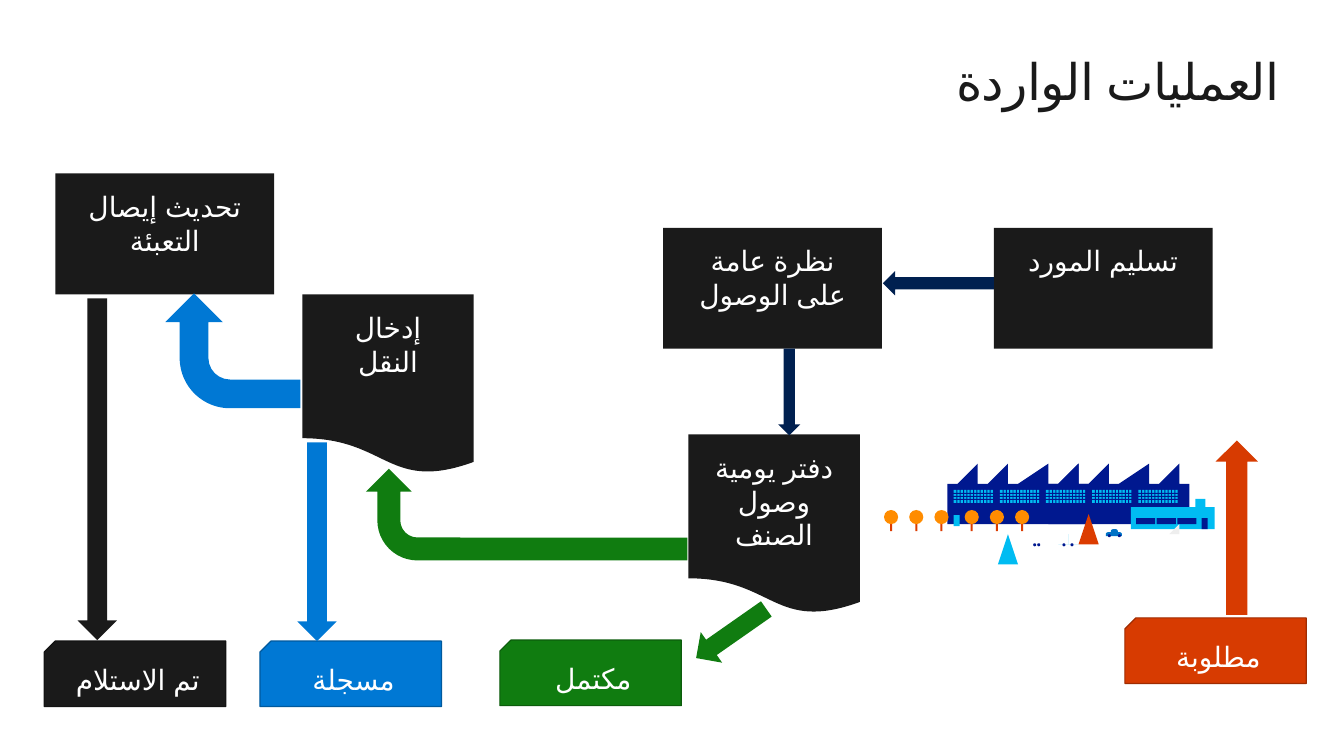
import pptx
import pptx.dml.color
import pptx.enum.shapes
import pptx.enum.text
import pptx.util
import lxml.etree
import pptx.oxml.ns

PRESET = pptx.enum.shapes.MSO_SHAPE
ALIGN = pptx.enum.text.PP_ALIGN
CELL = pptx.util.Inches(0.1)
COLUMNS, ROWS = 133.33, 75
INK, BLUE, GREEN, ORANGE, NAVY = "1A1A1A", "0078D4", "107C10", "D73B01", "002050"
WALL, GLASS, TRUNK, LEAF, CAR, PALE = "00188F", "00BCF2", "DC3C00", "FF8C00", "0072C6", "EEEEEE"


def color(code):
    return pptx.dml.color.RGBColor.from_string(code)


def cells(*counts):
    return [round(count * CELL) for count in counts]


class SlideBuilder:
    """Draws styled elements on one page, placed in columns and rows of a grid."""

    def __init__(self, deck):
        self.page = deck.slides.add_slide(deck.slide_layouts[5])
        self.target = self.page.shapes
        self.font = "Arial"

    def set_text(self, shape, text, size, code, align, insets, spacing=None):
        frame = shape.text_frame
        frame.text = text
        frame.word_wrap = True
        frame.vertical_anchor = pptx.enum.text.MSO_ANCHOR.TOP
        side, top = cells(*insets)
        frame.margin_left = frame.margin_right = side
        frame.margin_top = frame.margin_bottom = top
        para = frame.paragraphs[0]
        para.alignment = align
        para._p.get_or_add_pPr().set("rtl", "1")
        span = para.runs[0]
        span.font.size = pptx.util.Pt(size)
        span.font.name = self.font
        span.font.color.rgb = color(code)
        properties = span._r.get_or_add_rPr()
        properties.set("lang", "ar-SA")
        if spacing is not None:
            properties.set("spc", str(spacing))
        script_font = lxml.etree.SubElement(properties, pptx.oxml.ns.qn("a:cs"))
        script_font.set("typeface", self.font)

    def title(self, text, place):
        title = self.page.shapes.title
        title.left, title.top, title.width, title.height = cells(*place)
        self.set_text(title, text, 36, INK, ALIGN.RIGHT, (0, 0), -50)
        title.text_frame.auto_size = pptx.enum.text.MSO_AUTO_SIZE.SHAPE_TO_FIT_TEXT

    def paint(self, shape, fill, line=None):
        shape.shadow.inherit = False
        shape.fill.solid()
        shape.fill.fore_color.rgb = color(fill)
        if line:
            shape.line.color.rgb = color(line)
            shape.line.width = pptx.util.Pt(0.85)
        else:
            shape.line.fill.background()

    def shape(self, preset, place, fill, line=None, turn=0, flip=False):
        shape = self.target.add_shape(preset, *cells(*place))
        self.paint(shape, fill, line)
        shape.rotation = turn
        if flip:
            shape.element.spPr.find(pptx.oxml.ns.qn("a:xfrm")).set("flipH", "1")
        return shape

    def box(self, preset, place, text, fill=INK, line=None):
        box = self.shape(preset, place, fill, line, flip=True)
        self.set_text(box, text, 20, "FFFFFF", ALIGN.CENTER, (2, 1.6))

    def outline(self, points, fill):
        builder = self.target.build_freeform(*points[0], scale=CELL)
        builder.add_line_segments(points[1:], close=True)
        self.paint(builder.convert_to_shape(), fill)

    def start_group(self):
        self.target = self.page.shapes.add_group_shape().shapes

    def hall(self, left):
        points = [(left, 52.2), (left, 47.7)]
        for tooth in range(4):
            peak = left + 3.2 + tooth * 3.33
            points += [(peak - 2.1, 47.7), (peak, 45.6), (peak, 47.7)]
        points += [(left + 14.1, 47.7), (left + 14.1, 52.2)]
        self.outline(points, WALL)

    def window(self, left):
        self.shape(PRESET.RECTANGLE, (left, 48.6, 3.9, 1.3), GLASS)
        for row in range(3):
            self.shape(PRESET.RECTANGLE, (left - 0.1, 48.9 + row * 0.3, 4.1, 0.1), WALL)
        for bar in range(11):
            self.shape(PRESET.RECTANGLE, (left + 0.28 + bar * 0.33, 48.4, 0.1, 1.6), WALL)

    def cone(self, left, top, width, height, fill):
        corners = [(left + width, top + height), (left, top + height), (left + width / 2, top)]
        self.outline(corners, fill)

    def tree(self, left):
        self.shape(PRESET.RECTANGLE, (left + 0.6, 51.4, 0.2, 1.3), TRUNK)
        self.shape(PRESET.OVAL, (left, 50.6, 1.4, 1.4), LEAF)

    def wheel(self, left, top):
        self.shape(PRESET.OVAL, (left, top, 0.3, 0.3), WALL)

    def cabin(self, place, fill):
        cabin = self.shape(PRESET.ROUND_2_SAME_RECTANGLE, place, fill)
        cabin.adjustments[0] = 0.5


def draw_flow(slide):
    for place, text in [
        ((98.6, 22.6), "تسليم المورد"),
        ((65.8, 22.6), "نظرة عامة على الوصول"),
        ((5.5, 17.2), "تحديث إيصال التعبئة"),
    ]:
        slide.box(PRESET.RECTANGLE, (*place, 21.7, 12), text)
    for place, text in [
        ((68.3, 43.1), "دفتر يومية وصول الصنف"),
        ((30, 29.2), "إدخال النقل"),
    ]:
        slide.box(PRESET.FLOWCHART_DOCUMENT, (*place, 17, 17.8), text)
    for place, text, fill, line in [
        ((111.6, 61.3), "مطلوبة", ORANGE, "9F2C01"),
        ((49.6, 63.5), "مكتمل", GREEN, "0C5C0C"),
        ((25.8, 63.6), "مسجلة", BLUE, "00599D"),
        ((4.4, 63.6), "تم الاستلام", INK, "131313"),
    ]:
        slide.box(PRESET.SNIP_1_RECTANGLE, (*place, 18, 6.5), text, fill, line)
    for preset, place, fill, turn in [
        (PRESET.UP_ARROW, (120.6, 43.7, 4.2, 17.3), ORANGE, 0),
        (PRESET.RIGHT_ARROW, (87.6, 26.9, 11, 2.4), NAVY, 0),
        (PRESET.DOWN_ARROW, (77.2, 34.6, 2.2, 8.6), NAVY, 0),
        (PRESET.RIGHT_ARROW, (68.3, 61, 8.5, 3.7), GREEN, 325),
        (PRESET.DOWN_ARROW, (29.5, 43.9, 3.9, 19.7), BLUE, 0),
        (PRESET.DOWN_ARROW, (7.7, 29.6, 3.9, 33.9), INK, 0),
    ]:
        slide.shape(preset, place, fill, turn=turn, flip=True)
    slide.shape(PRESET.BENT_ARROW, (17.4, 28.1, 11.4, 13.4), BLUE, turn=270)
    slide.shape(PRESET.BENT_ARROW, (47.7, 35.1, 9.1, 31.9), GREEN, turn=270)


def draw_factory(slide):
    slide.start_group()
    for left in (103.7, 93.7):
        slide.hall(left)
    for pane in range(5):
        slide.window(94.6 + pane * 4.58)
    slide.shape(PRESET.RECTANGLE, (112.2, 50.3, 8.3, 2.2), GLASS)
    slide.shape(PRESET.RECTANGLE, (118.6, 49.5, 1, 1.2), GLASS)
    slide.cone(98.8, 53.2, 2.4, 3.3, GLASS)
    slide.cone(116.3, 52.1, 0.9, 1.2, PALE)
    slide.cone(107.2, 51.4, 1.6, 2.3, TRUNK)
    slide.shape(PRESET.RECTANGLE, (94.6, 51.1, 0.6, 1.1), GLASS)
    slide.shape(PRESET.RECTANGLE, (119.2, 51.4, 0.6, 1.1), WALL)
    for pane in range(3):
        slide.shape(PRESET.RECTANGLE, (112.7 + pane * 2.05, 51.4, 1.9, 0.6), WALL)
    for first in (87.7, 95.7):
        for step in range(3):
            slide.tree(first + step * 2.5)
    slide.cabin((109.7, 52.8, 1.6, 0.4), CAR)
    slide.cabin((110.2, 52.5, 0.7, 0.4), CAR)
    slide.outline([(105.9, 53.8), (105.9, 53.2), (106.2, 53.2), (106.4, 53.4), (106.4, 53.7),
                   (106.6, 53.9), (106.6, 54), (105.2, 54), (105.2, 53.8)], GLASS)
    for left, top in [(109.9, 53), (110.9, 53), (106.2, 53.9), (105.4, 53.9),
                      (102.5, 53.9), (102.9, 53.9)]:
        slide.wheel(left, top)


def main():
    deck = pptx.Presentation()
    deck.slide_width, deck.slide_height = cells(COLUMNS, ROWS)
    slide = SlideBuilder(deck)
    slide.title("العمليات الواردة", (6.4, 5, 120.5, 6.1))
    draw_flow(slide)
    draw_factory(slide)
    deck.save("out.pptx")


if __name__ == "__main__":
    main()
